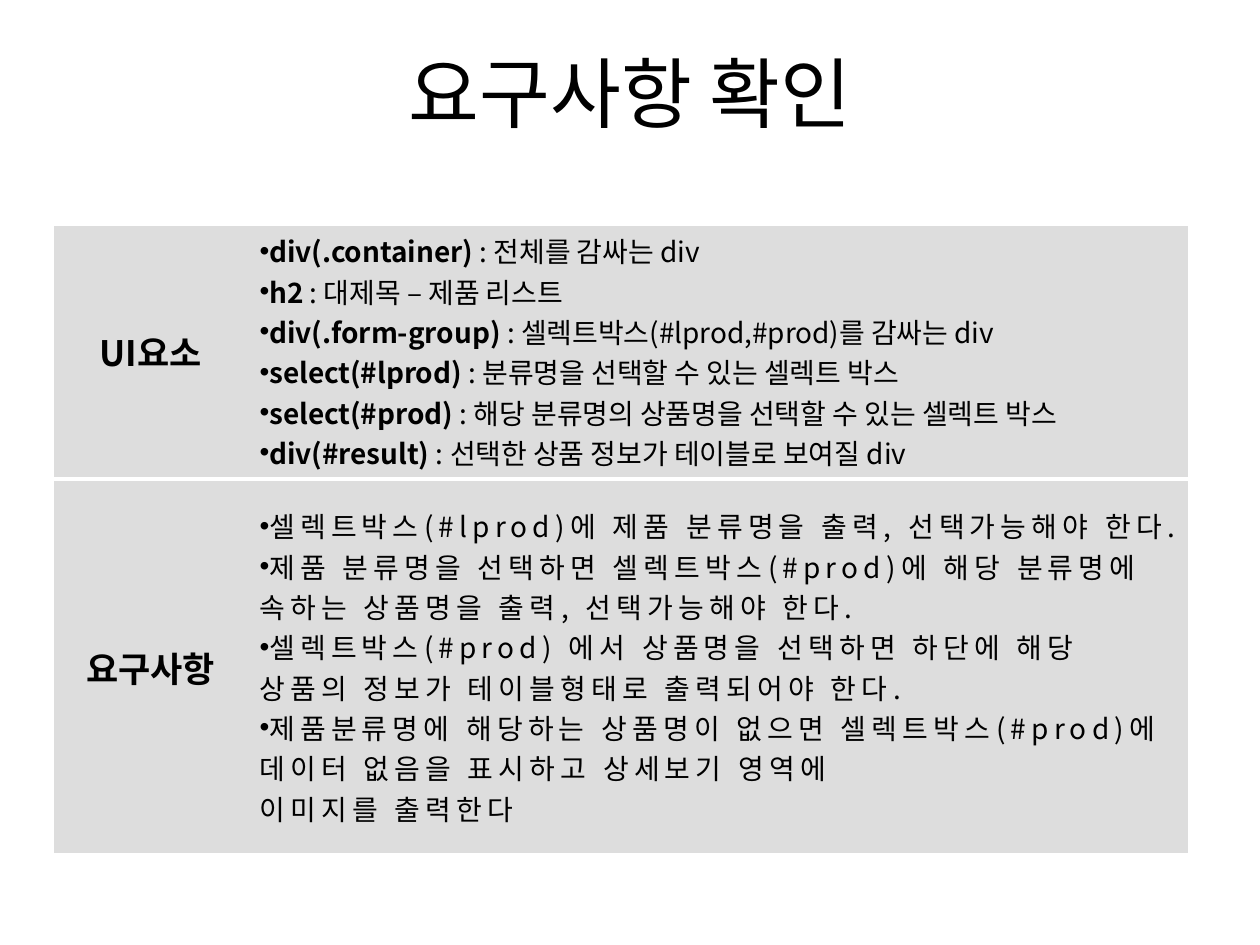
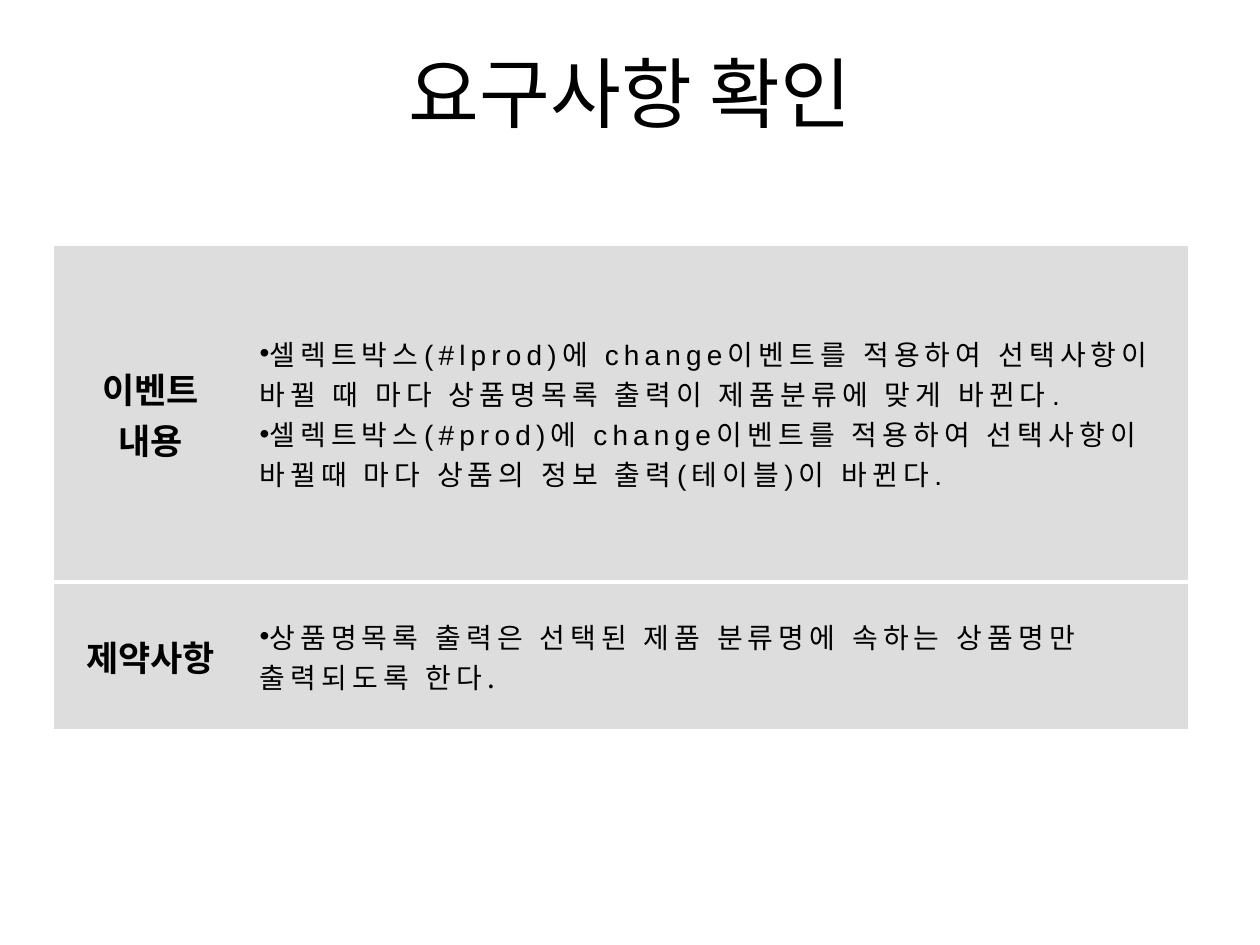
"""Builds two slides that list the requirements of a product select page."""
from dataclasses import dataclass

from lxml.etree import SubElement as add_element
from pptx import Presentation
from pptx.dml.color import RGBColor as Color
from pptx.enum.text import MSO_ANCHOR as Anchor, PP_ALIGN as Align
from pptx.oxml.ns import qn
from pptx.util import Inches, Pt


@dataclass(frozen=True)
class Theme:
    ink: str = "000000"
    band: str = "DDDDDD"
    rule: str = "FFFFFF"
    font: str = "Noto Sans CJK KR"
    latin: str = "Arial"
    title_size: int = 44
    label_size: int = 20
    body_size: int = 16
    wide: int = 3
    rule_width: float = 2.25


THEME = Theme()
TITLE = "요구사항 확인"
TITLE_BOX = (0.5, 0.3, 9, 0.85)
TABLE_LEFT = 0.43
COLUMNS = (1.53, 7.47)

ELEMENTS = [
    ("div(.container) ", ": 전체를 감싸는 div"),
    ("h2", " : 대제목 – 제품 리스트"),
    ("div(.form-group) ", ": 셀렉트박스(#lprod,#prod)를 감싸는 div"),
    ("select(#lprod)", " : 분류명을 선택할 수 있는 셀렉트 박스"),
    ("select(#prod) ", ": 해당 분류명의 상품명을 선택할 수 있는 셀렉트 박스"),
    ("div(#result) ", ": 선택한 상품 정보가 테이블로 보여질 div"),
]
NEEDS = [
    "셀렉트박스(#lprod)에 제품 분류명을 출력, 선택가능해야 한다.",
    "제품 분류명을 선택하면 셀렉트박스(#prod)에 해당 분류명에 속하는 상품명을 출력, 선택가능해야 한다.",
    "셀렉트박스(#prod) 에서 상품명을 선택하면 하단에 해당 상품의 정보가 테이블형태로 출력되어야 한다.",
    "제품분류명에 해당하는 상품명이 없으면 셀렉트박스(#prod)에 데이터 없음을 표시하고 상세보기 영역에",
]
EVENTS = [
    "셀렉트박스(#lprod)에 change이벤트를 적용하여 선택사항이 바뀔 때 마다 상품명목록 출력이 제품분류에 맞게 바뀐다.",
    "셀렉트박스(#prod)에 change이벤트를 적용하여 선택사항이 바뀔때 마다 상품의 정보 출력(테이블)이 바뀐다.",
]
LIMITS = ["상품명목록 출력은 선택된 제품 분류명에 속하는 상품명만 출력되도록 한다."]

PAGES = [
    {"top": 1.78, "height": 4.2, "rows": [
        {"label": ["UI요소"], "height": 1.32, "items": ELEMENTS},
        {"label": ["요구사항"], "height": 1.93, "items": NEEDS, "tail": "이미지를 출력한다"},
    ]},
    {"top": 1.94, "height": 3.86, "rows": [
        {"label": ["이벤트", "내용"], "height": 2.68, "items": EVENTS, "latin": THEME.latin},
        {"label": ["제약사항"], "height": 1.18, "items": LIMITS},
    ]},
]


def write(frame, paragraphs, size, align=Align.LEFT, bold=False, spacing=0,
          latin=THEME.font, bullets=0):
    """Fill a text frame; a pair is a bold term and its plain explanation."""
    for index, content in enumerate(paragraphs):
        para = frame.paragraphs[0] if index == 0 else frame.add_paragraph()
        para.alignment = align
        if index < bullets:
            properties = para._p.get_or_add_pPr()
            add_element(properties, qn("a:buFont"), typeface=THEME.latin)
            add_element(properties, qn("a:buChar"), char="•")
        pair = isinstance(content, tuple)
        for part, text in enumerate(content if pair else (content,)):
            span = para.add_run()
            span.text = text
            font = span.font
            font.size, font.name = Pt(size), latin
            font.bold = part == 0 if pair else bold
            font.color.rgb = Color.from_string(THEME.ink)
            properties = font._element
            properties.set("spc", str(spacing * 100))
            add_element(properties, qn("a:ea"), typeface=THEME.font)


def style_cell(cell):
    """Give a cell its grey fill and white rules above and below."""
    cell.vertical_anchor = Anchor.MIDDLE
    properties = cell._tc.get_or_add_tcPr()
    for side in ("lnL", "lnR"):
        add_element(add_element(properties, qn("a:" + side)), qn("a:noFill"))
    for side in ("lnT", "lnB"):
        line = add_element(properties, qn("a:" + side), w=str(Pt(THEME.rule_width)))
        add_element(add_element(line, qn("a:solidFill")), qn("a:srgbClr"), val=THEME.rule)
    cell.fill.solid()
    cell.fill.fore_color.rgb = Color.from_string(THEME.band)


def add_title(page):
    """Place and fill the title placeholder."""
    title = page.shapes.title
    title.left, title.top, title.width, title.height = map(Inches, TITLE_BOX)
    title.text_frame.vertical_anchor = Anchor.MIDDLE
    write(title.text_frame, [TITLE], THEME.title_size, align=Align.CENTER)


def add_requirements(page, top, height, rows):
    """Add the table of labels and bulleted requirements."""
    holder = page.shapes.add_table(len(rows), len(COLUMNS), Inches(TABLE_LEFT), Inches(top),
                                   Inches(sum(COLUMNS)), Inches(height))
    table = holder.table
    table.first_row = table.horz_banding = False
    for column, width in zip(table.columns, COLUMNS):
        column.width = Inches(width)
    for index, row in enumerate(rows):
        table.rows[index].height = Inches(row["height"])
        label, body = table.cell(index, 0), table.cell(index, 1)
        style_cell(label)
        style_cell(body)
        write(label.text_frame, row["label"], THEME.label_size, align=Align.CENTER, bold=True)
        items = row["items"]
        tail = [row["tail"]] if "tail" in row else []
        write(body.text_frame, items + tail, THEME.body_size, bullets=len(items),
              spacing=0 if items is ELEMENTS else THEME.wide,
              latin=row.get("latin", THEME.font))
    holder.height = Inches(height)


deck = Presentation()
deck.slide_width, deck.slide_height = Inches(10), Inches(7.5)
for content in PAGES:
    page = deck.slides.add_slide(deck.slide_layouts.get_by_name("Title Only"))
    add_title(page)
    add_requirements(page, **content)
deck.save("out.pptx")
